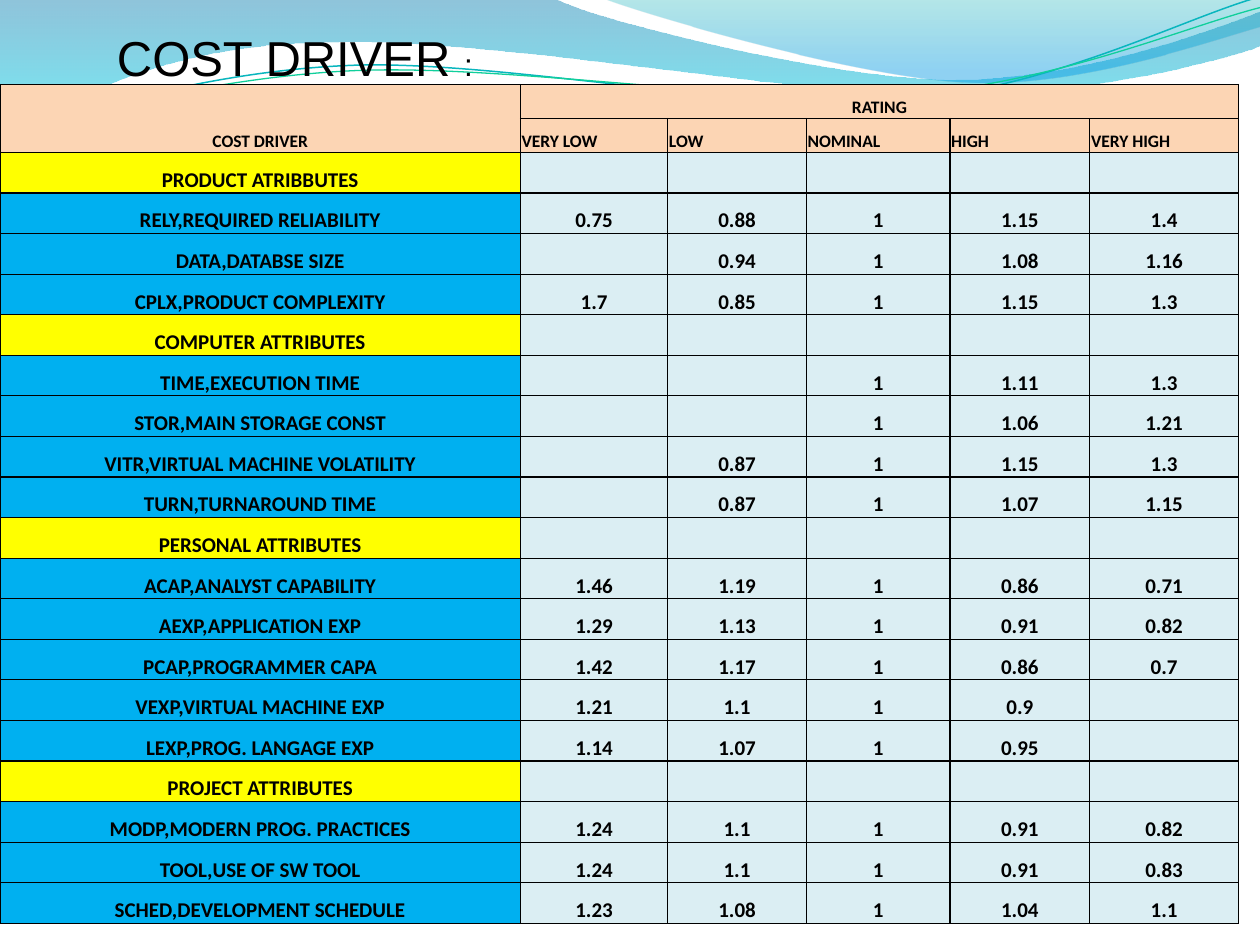
import math

import lxml.etree
import pptx
import pptx.dml.color
import pptx.enum.text
import pptx.oxml.ns
import pptx.util

Inches, Pt = pptx.util.Inches, pptx.util.Pt
qn = pptx.oxml.ns.qn
align = pptx.enum.text.PP_ALIGN


def color(code):
    return pptx.dml.color.RGBColor.from_string(code)


def write(para, text, size=12, font="Calibri", bold=True, side=align.CENTER):
    para.alignment = side
    run = para.add_run()
    run.text = text
    run.font.size = Pt(size)
    run.font.name = font
    run.font.bold = bold
    run.font.color.rgb = color("000000")


deck = pptx.Presentation()
deck.slide_width, deck.slide_height = Inches(10), Inches(7.5)
slide = deck.slides.add_slide(deck.slide_layouts[6])

waves = [
    ((-0.01, -0.01, 10.02, 1.14), 0,
     [(0, -0.01), (4.4, -0.01), (4.76, 0.17, 6.64, 0.63, 7.58, 0.63),
      (8.53, 0.63, 9.58, 0.26, 10, 0.09), (10.01, 0.36),
      (9.83, 0.44, 8.7, 0.76, 7.46, 0.75), (6.22, 0.75, 3.82, 0.28, 2.57, 0.34),
      (1.29, 0.35, 0.46, 0.83, -0.01, 1.13), (0, -0.01)],
     [(0, "0079AD", 44), (1, "00E9F7", 55)], None),
    ((4.79, -0.01, 5.21, 0.7), 0,
     [(4.79, -0.01), (5.09, 0.11, 6.82, 0.62, 7.69, 0.65),
      (8.56, 0.69, 9.61, 0.32, 10, 0.21), (10, 0), (4.79, -0.01)],
     [(0, "00ABB4", 29), (0.8, "0099E4", 44)], None),
    ((-0.02, 0.22, 10.02, 0.71), -2.7,
     [(0, 1.11), (0.48, 0.93, 1.58, 0.57, 2.77, 0.52),
      (3.95, 0.47, 5.93, 0.89, 7.13, 0.8), (8.33, 0.71, 9.38, 0.15, 9.98, -0.02)],
     None, ("09B6BE", 0.85)),
    ((-0.02, 0.3, 10.03, 0.58), -2.7,
     [(0, 1.04), (0.47, 0.96, 1.64, 0.61, 2.83, 0.56),
      (4.03, 0.51, 5.97, 0.83, 7.17, 0.75), (8.36, 0.67, 9.41, 0.21, 10, 0.06)],
     None, ("10CF9B", 0.75)),
]
for (left, top, width, high), turn, parts, stops, pen in waves:
    build = slide.shapes.build_freeform(Inches(left), Inches(top))
    build.add_line_segments([(Inches(left + width), Inches(top)),
                             (Inches(left + width), Inches(top + high)),
                             (Inches(left), Inches(top + high))], close=bool(stops))
    wave = build.convert_to_shape()
    wave.shadow.inherit = False
    wave.rotation = turn % 360
    track = next(wave.element.iter(qn("a:path")))
    for node in list(track):
        track.remove(node)
    cos, sin = math.cos(math.radians(turn)), math.sin(math.radians(turn))
    for k, part in enumerate(parts):
        kind = "cubicBezTo" if len(part) == 6 else "lnTo" if k else "moveTo"
        node = lxml.etree.SubElement(track, qn("a:" + kind))
        for x, y in zip(part[::2], part[1::2]):
            dx, dy = x - left - width / 2, y - top - high / 2
            lxml.etree.SubElement(node, qn("a:pt"),
                                  x=str(Inches(width / 2 + dx * cos + dy * sin)),
                                  y=str(Inches(high / 2 - dx * sin + dy * cos)))
    if stops:
        lxml.etree.SubElement(track, qn("a:close"))
        wave.line.fill.background()
        wave.fill.gradient()
        wave.fill.gradient_angle = 270
        for stop, (place, code, _) in zip(wave.fill.gradient_stops, stops):
            stop.position = place
            stop.color.rgb = color(code)
        for node, (_, _, alpha) in zip(wave.element.iter(qn("a:srgbClr")), stops):
            lxml.etree.SubElement(node, qn("a:alpha"), val=str(alpha * 1000))
    else:
        wave.fill.background()
        wave.line.color.rgb = color(pen[0])
        wave.line.width = Pt(pen[1])

title = slide.shapes.add_textbox(Inches(0.83), Inches(0.17), Inches(4.75), Inches(0.57))
title.text_frame.word_wrap = True
title.text_frame.auto_size = pptx.enum.text.MSO_AUTO_SIZE.SHAPE_TO_FIT_TEXT
for text, size in [("COST DRIVER ", 28), (":", 18)]:
    write(title.text_frame.paragraphs[0], text, size=size, font="Arial", bold=False, side=align.LEFT)

rows = [line.split("|") for line in """COST DRIVER|RATING||||
|VERY LOW|LOW|NOMINAL|HIGH|VERY HIGH
PRODUCT ATRIBBUTES|||||
RELY,REQUIRED RELIABILITY|0.75|0.88|1|1.15|1.4
DATA,DATABSE SIZE||0.94|1|1.08|1.16
CPLX,PRODUCT COMPLEXITY|1.7|0.85|1|1.15|1.3
COMPUTER ATTRIBUTES|||||
TIME,EXECUTION TIME|||1|1.11|1.3
STOR,MAIN STORAGE CONST|||1|1.06|1.21
VITR,VIRTUAL MACHINE VOLATILITY||0.87|1|1.15|1.3
TURN,TURNAROUND TIME||0.87|1|1.07|1.15
PERSONAL ATTRIBUTES|||||
ACAP,ANALYST CAPABILITY|1.46|1.19|1|0.86|0.71
AEXP,APPLICATION EXP|1.29|1.13|1|0.91|0.82
PCAP,PROGRAMMER CAPA|1.42|1.17|1|0.86|0.7
VEXP,VIRTUAL MACHINE EXP|1.21|1.1|1|0.9|
LEXP,PROG. LANGAGE EXP|1.14|1.07|1|0.95|
PROJECT ATTRIBUTES|||||
MODP,MODERN PROG. PRACTICES|1.24|1.1|1|0.91|0.82
TOOL,USE OF SW TOOL|1.24|1.1|1|0.91|0.83
SCHED,DEVELOPMENT SCHEDULE|1.23|1.08|1|1.04|1.1""".splitlines()]
wide = [4.13, 1.17, 1.1, 1.14, 1.11, 1.18]
frame = slide.shapes.add_table(len(rows), len(wide), 0, Inches(0.67), Inches(9.83), Inches(6.67))
table = frame.table
table.first_row = table.horz_banding = False
for col, width in zip(table.columns, wide):
    col.width = Inches(width)
for r, row in enumerate(rows):
    head = r < 2
    table.rows[r].height = Inches(0.27 if head else 6.12 / 19)
    for c, text in enumerate(row):
        cell = table.cell(r, c)
        cell.margin_left = cell.margin_right = cell.margin_top = Inches(0.01)
        cell.margin_bottom = 0
        cell.vertical_anchor = pptx.enum.text.MSO_ANCHOR.BOTTOM
        para = cell.text_frame.paragraphs[0]
        size = 10 if head else 12
        if text:
            write(para, text, size=size, side=align.LEFT if r == 1 else align.CENTER)
        else:
            lxml.etree.SubElement(para._p, qn("a:endParaRPr"), sz=str(size * 100))
        for edge in ("lnL", "lnR", "lnT", "lnB"):
            line = lxml.etree.SubElement(cell._tc.tcPr, qn("a:" + edge), w=str(Pt(0.75)))
            fill = lxml.etree.SubElement(line, qn("a:solidFill"))
            lxml.etree.SubElement(fill, qn("a:srgbClr"), val="000000")
        if head:
            shade = "FCD5B4"
        elif c:
            shade = "DBEEF3"
        else:
            shade = "00B0F0" if any(row[1:]) else "FFFF00"
        cell.fill.solid()
        cell.fill.fore_color.rgb = color(shade)
table.cell(0, 0).merge(table.cell(1, 0))
table.cell(0, 1).merge(table.cell(0, 5))

deck.save("out.pptx")
